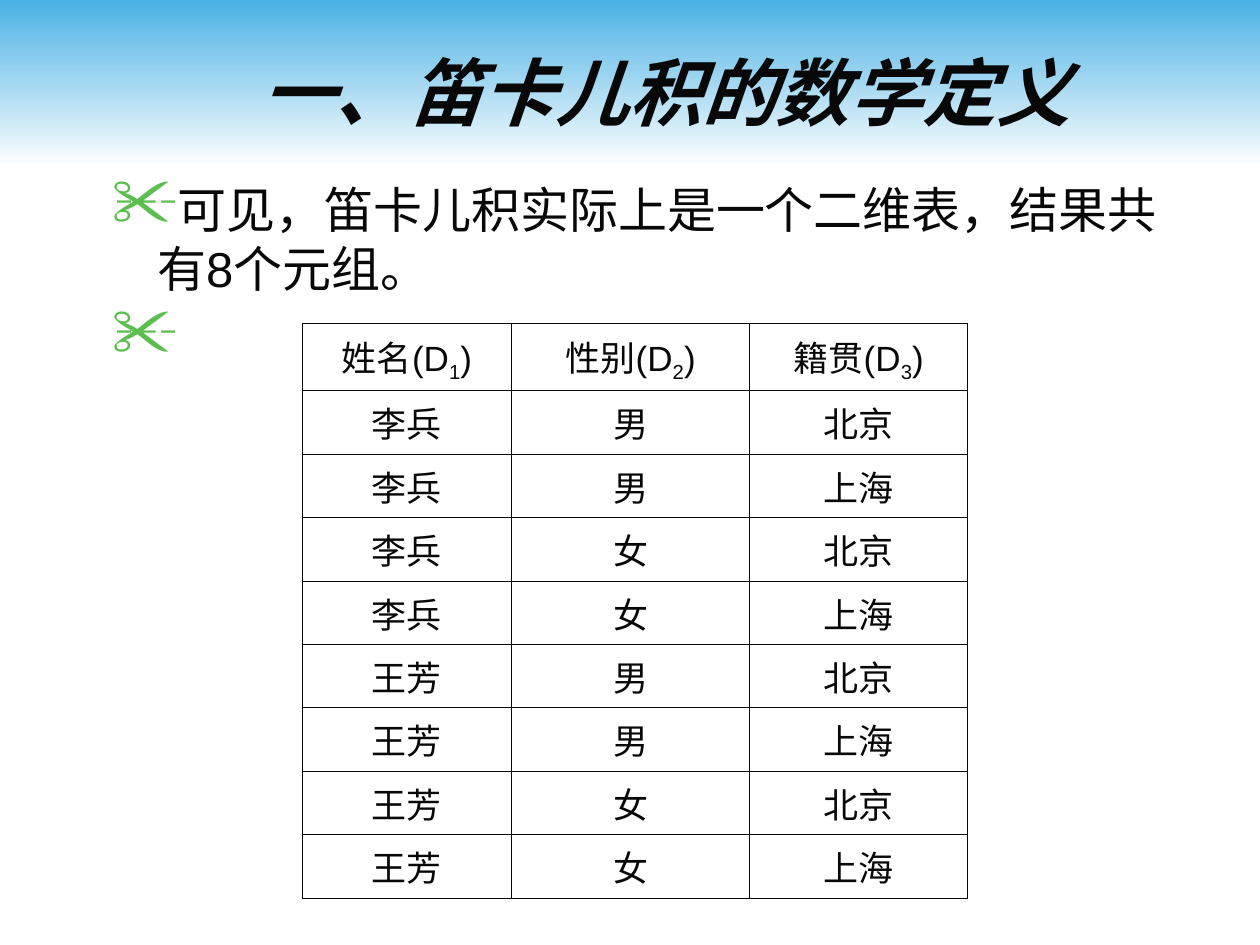
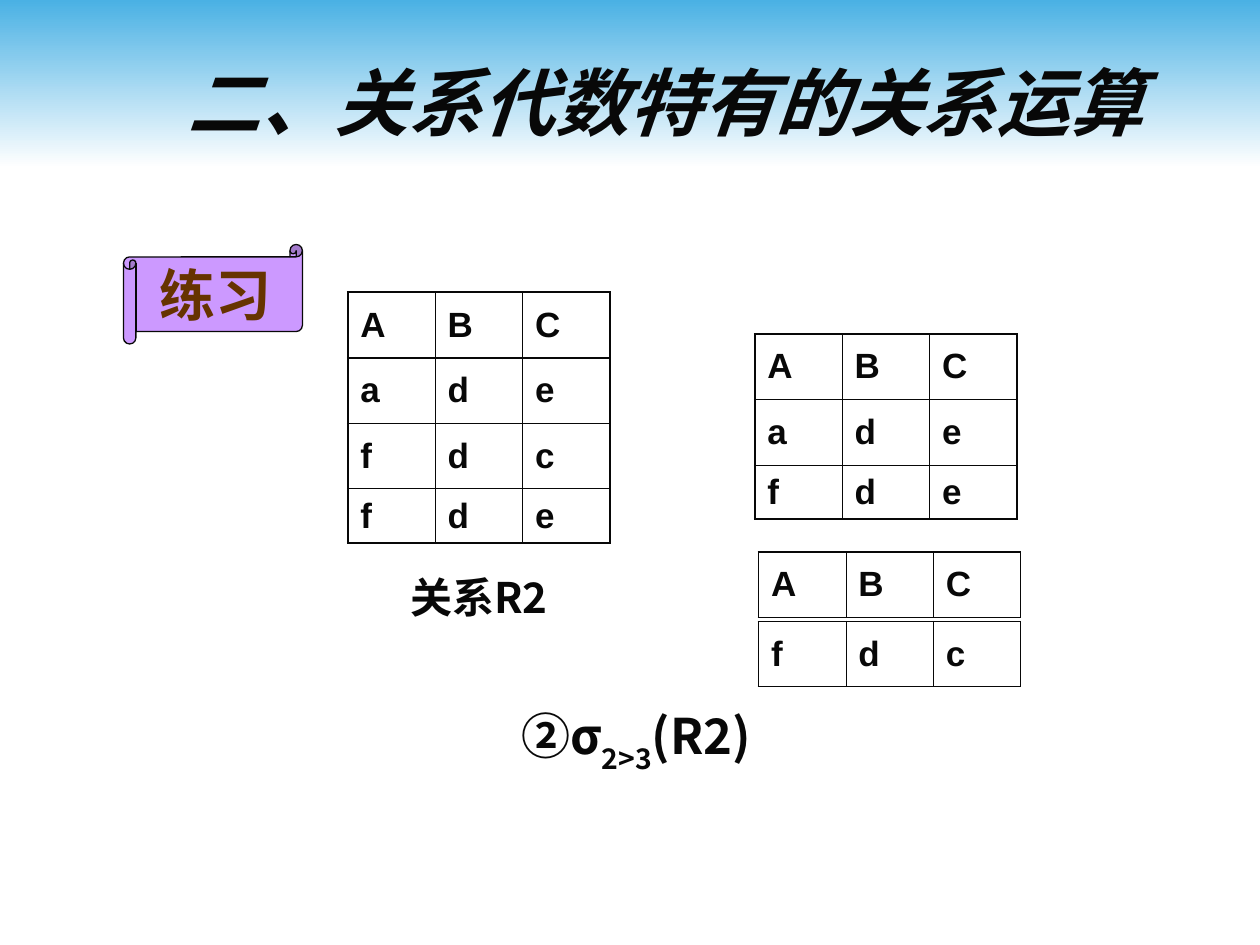
from itertools import product

from lxml import etree
from pptx import Presentation
from pptx.dml.color import RGBColor
from pptx.enum.shapes import MSO_SHAPE
from pptx.enum.text import MSO_ANCHOR, MSO_AUTO_SIZE, PP_ALIGN
from pptx.oxml.ns import qn
from pptx.util import Inches, Pt

RECTANGLE = MSO_SHAPE.RECTANGLE
SCROLL = MSO_SHAPE.HORIZONTAL_SCROLL
LEFT, CENTER = PP_ALIGN.LEFT, PP_ALIGN.CENTER
TOP, MIDDLE, BOTTOM = MSO_ANCHOR.TOP, MSO_ANCHOR.MIDDLE, MSO_ANCHOR.BOTTOM
NO_AUTOFIT = MSO_AUTO_SIZE.NONE

INK = "080808"
SKY = "4AB1E4"
WHITE = "FFFFFF"
LILAC = "CC99FF"
BROWN = "663300"
GREEN = "5BBE4E"
LATIN_FONT = "Arial"
CHINESE_FONT = "Noto Sans CJK SC"
THIN, THICK = 0.45, 1.08
TITLE_ONLY = 5
LETTER_ROW = 0.52
LAST_LETTER_ROW = 0.43


def color(value):
    """Turn a hex string into a colour."""
    return RGBColor.from_string(value)


def inches(*values):
    """Turn numbers into lengths."""
    return [Inches(value) for value in values]


def write_text(paragraph, text, size=20, font=LATIN_FONT, ink=INK, bold=False,
               italic=False, align=LEFT, subscript=-25):
    """Write text, or a list of strings whose odd items are subscripts."""
    paragraph.alignment = align
    pieces = [text] if isinstance(text, str) else text
    for index, piece in enumerate(pieces):
        run = paragraph.add_run()
        run.text = piece
        run.font.size = Pt(size)
        run.font.bold = bold
        run.font.italic = italic
        run.font.color.rgb = color(ink)
        run.font.name = font
        properties = run._r.get_or_add_rPr()
        etree.SubElement(properties, qn("a:ea"), typeface=CHINESE_FONT)
        if index % 2:
            properties.set("baseline", str(subscript * 1000))


def add_scissors_bullet(paragraph):
    """Give a paragraph a hanging scissors bullet."""
    properties = paragraph._p.get_or_add_pPr()
    properties.set("marL", str(Inches(0.48)))
    properties.set("indent", str(Inches(-0.36)))
    bullet_color = etree.SubElement(properties, qn("a:buClr"))
    etree.SubElement(bullet_color, qn("a:srgbClr"), val=GREEN)
    etree.SubElement(properties, qn("a:buSzPct"), val="140000")
    etree.SubElement(properties, qn("a:buChar"), char="✂")


def add_text_box(slide, box, wrap=True):
    """Add an empty text box and return its text frame."""
    frame = slide.shapes.add_textbox(*inches(*box)).text_frame
    frame.word_wrap = wrap
    return frame


def add_bullets(slide, box, lines, size=28):
    """Add a box of scissors-bulleted paragraphs."""
    frame = add_text_box(slide, box)
    for index, line in enumerate(lines):
        paragraph = frame.add_paragraph() if index else frame.paragraphs[0]
        paragraph.line_spacing = Pt(size * 1.2)
        if index:
            paragraph.space_before = Pt(7)
        add_scissors_bullet(paragraph)
        write_text(paragraph, line, size=size)


def set_border(cell, side, width):
    """Draw one side of a table cell."""
    properties = cell._tc.get_or_add_tcPr()
    line = etree.SubElement(properties, qn(f"a:ln{side}"), w=str(Pt(width)))
    fill = etree.SubElement(line, qn("a:solidFill"))
    etree.SubElement(fill, qn("a:srgbClr"), val=INK)


def add_grid(slide, rows, left, top, widths, heights, side=THICK, rule=THICK,
             **text_format):
    """Add a ruled table whose outer sides and header rules have own widths."""
    shape = slide.shapes.add_table(
        len(rows), len(widths), *inches(left, top, sum(widths), sum(heights)))
    table = shape.table
    table.first_row = table.horz_banding = False
    for column, width in zip(table.columns, widths):
        column.width = Inches(width)
    for row, height in zip(table.rows, heights):
        row.height = Inches(height)
    last_row, last_column = len(rows) - 1, len(widths) - 1
    for r, c in product(range(len(rows)), range(len(widths))):
        cell = table.cell(r, c)
        cell.vertical_anchor = MIDDLE
        set_border(cell, "L", side if c == 0 else THIN)
        set_border(cell, "R", side if c == last_column else THIN)
        set_border(cell, "T", rule if r <= 1 else THIN)
        set_border(cell, "B", rule if r in (0, last_row) else THIN)
        cell.fill.background()
        write_text(cell.text_frame.paragraphs[0], rows[r][c], **text_format)


def add_letter_grid(slide, rows, left, top, heights, **borders):
    """Add a three-column table of bold letters."""
    add_grid(slide, rows, left, top, [2.08 / 3] * 3, heights, bold=True,
             **borders)


def add_scroll(slide, box, text):
    """Add a lilac scroll with a label."""
    scroll = slide.shapes.add_shape(SCROLL, *inches(*box))
    scroll.shadow.inherit = False
    scroll.adjustments[0] = 0.125
    scroll.fill.solid()
    scroll.fill.fore_color.rgb = color(LILAC)
    scroll.line.color.rgb = color(INK)
    scroll.line.width = Pt(0.75)
    frame = scroll.text_frame
    frame.word_wrap = False
    frame.margin_left = frame.margin_right = 0
    frame.vertical_anchor = MIDDLE
    write_text(frame.paragraphs[0], text, size=32, ink=BROWN, bold=True,
               align=CENTER)


def add_band_to_layout(slide):
    """Place the gradient band on the layout that all slides share."""
    band = slide.shapes.add_shape(RECTANGLE, *inches(0, 0, 10, 1.33))
    band.shadow.inherit = False
    band.line.fill.background()
    band.fill.gradient()
    band.fill.gradient_angle = 270
    for stop, value, position in zip(band.fill.gradient_stops, (SKY, WHITE), (0, 1)):
        stop.color.rgb = color(value)
        stop.position = position
    band._element.nvSpPr.cNvPr.set("id", "20")
    slide.slide_layout.shapes._spTree.insert(2, band._element)


def add_titled_slide(presentation, text, anchor):
    """Add a slide with the shared title style."""
    slide = presentation.slides.add_slide(presentation.slide_layouts[TITLE_ONLY])
    title = slide.shapes.title
    title.left, title.top, title.width, title.height = inches(1.06, 0.25, 8.44, 0.95)
    frame = title.text_frame
    frame.auto_size = NO_AUTOFIT
    frame.vertical_anchor = anchor
    write_text(frame.paragraphs[0], text, size=42, bold=True, italic=True,
               align=CENTER)
    return slide


def build_product_slide(presentation):
    """Show the Cartesian product as a table of eight tuples."""
    slide = add_titled_slide(presentation, "一、笛卡儿积的数学定义", MIDDLE)
    add_band_to_layout(slide)
    add_bullets(slide, (0.67, 1.38, 8.9, 5.84),
                ["可见，笛卡儿积实际上是一个二维表，结果共有8个元组。", "　"])
    header = [[f"{name}(D", str(number), ")"]
              for number, name in enumerate(("姓名", "性别", "籍贯"), 1)]
    tuples = list(product(("李兵", "王芳"), ("男", "女"), ("北京", "上海")))
    header_height, total_height = 0.53, 4.56
    row_height = (total_height - header_height) / len(tuples)
    add_grid(slide, [header, *tuples], 2.4, 2.57, [1.66, 1.89, 1.73],
             [header_height] + [row_height] * len(tuples),
             side=THIN, rule=THIN, align=CENTER)


def build_selection_slide(presentation):
    """Show the exercise on selecting from relation R2."""
    slide = add_titled_slide(presentation, "二、关系代数特有的关系运算", BOTTOM)
    add_letter_grid(slide, ["ABC", "ade", "fde"], 5.99, 2.65,
                    [LETTER_ROW] * 2 + [LAST_LETTER_ROW])
    add_letter_grid(slide, ["ABC", "ade", "fdc", "fde"], 2.76, 2.32,
                    [LETTER_ROW] * 3 + [LAST_LETTER_ROW])
    caption = add_text_box(slide, (3.15, 4.49, 1.3, 0.9)).paragraphs[0]
    caption.line_spacing = Pt(28.8)
    write_text(caption, "关系R2", size=24, font=CHINESE_FONT, bold=True,
               align=CENTER)
    formula = add_text_box(slide, (4.04, 5.55, 2.24, 0.65), wrap=False)
    write_text(formula.paragraphs[0], ["②σ", "2>3", "(R2)"], size=28,
               font=CHINESE_FONT, bold=True, subscript=-30)
    add_scroll(slide, (0.98, 1.94, 1.42, 0.79), "练习")
    add_letter_grid(slide, ["fdc"], 6.02, 4.93, [LETTER_ROW], rule=THIN)
    add_letter_grid(slide, ["ABC"], 6.02, 4.38, [LETTER_ROW])


def main():
    """Build and save the presentation."""
    presentation = Presentation()
    presentation.slide_width, presentation.slide_height = inches(10, 7.5)
    build_product_slide(presentation)
    build_selection_slide(presentation)
    presentation.save("out.pptx")


if __name__ == "__main__":
    main()
